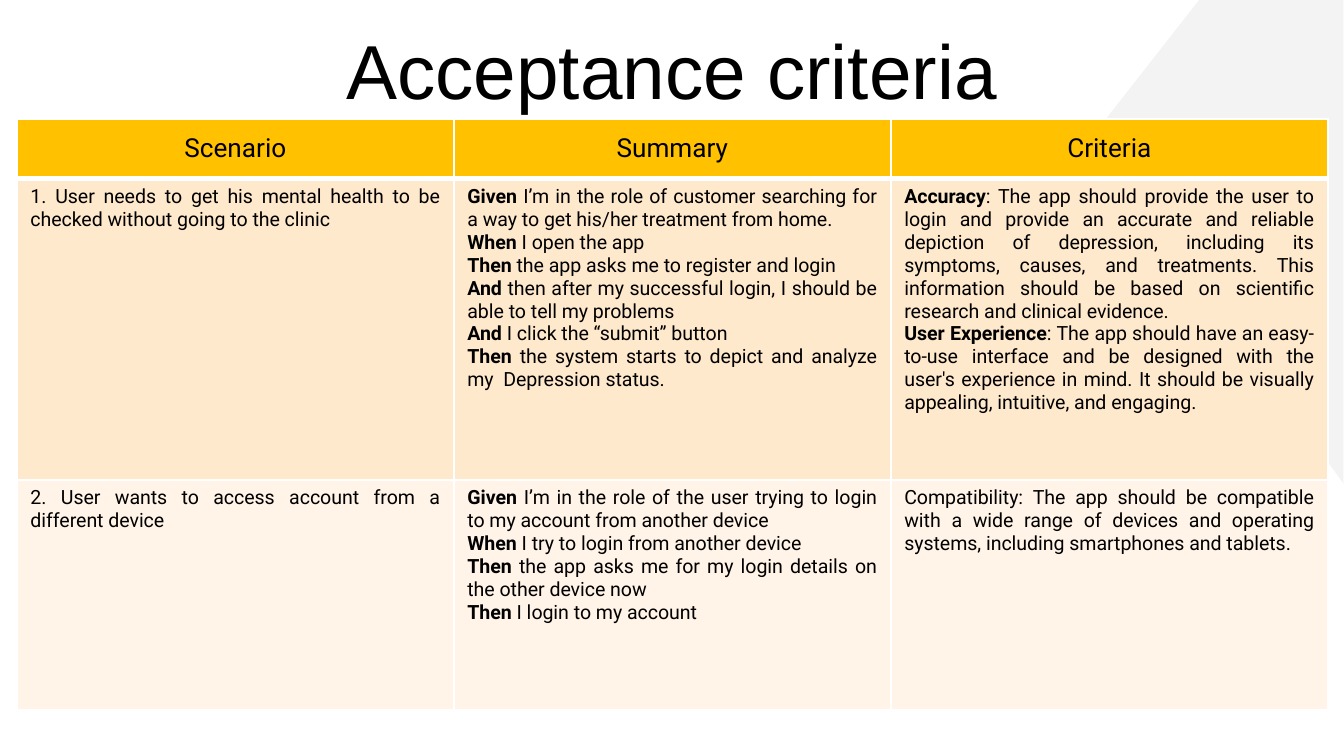
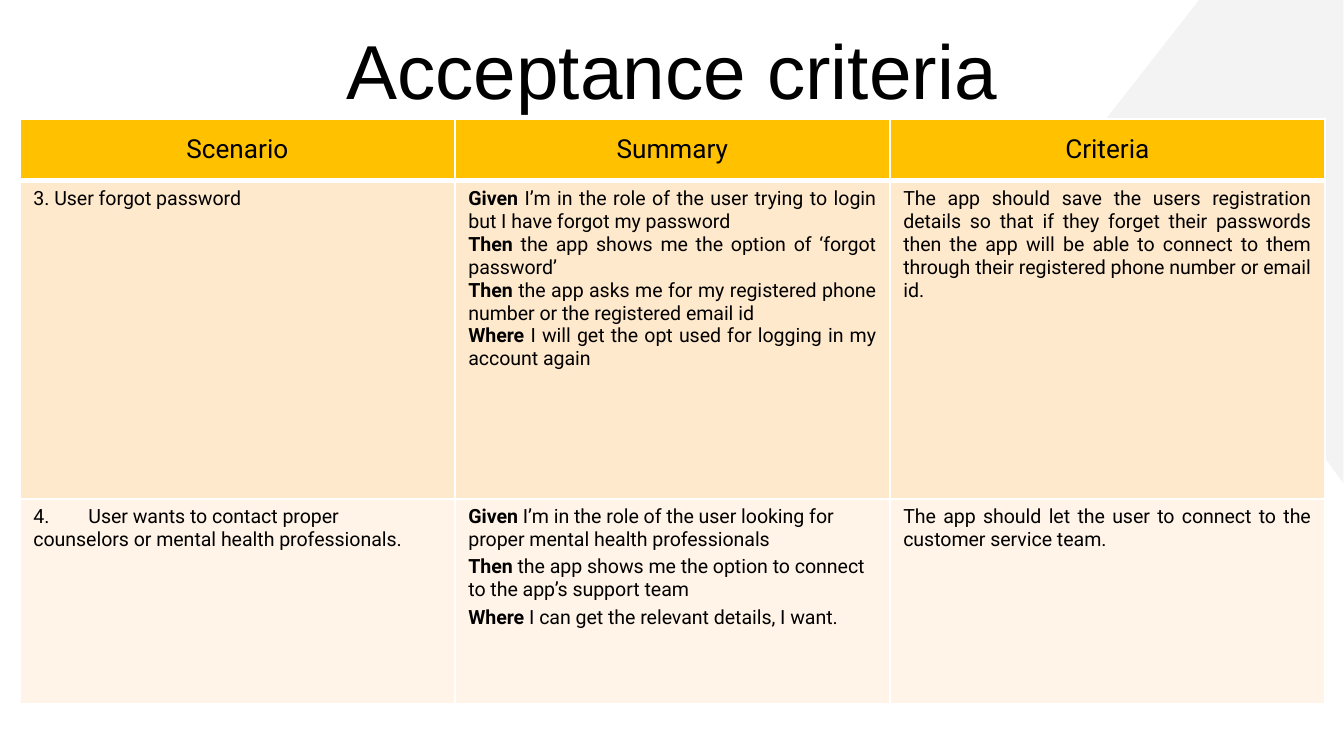
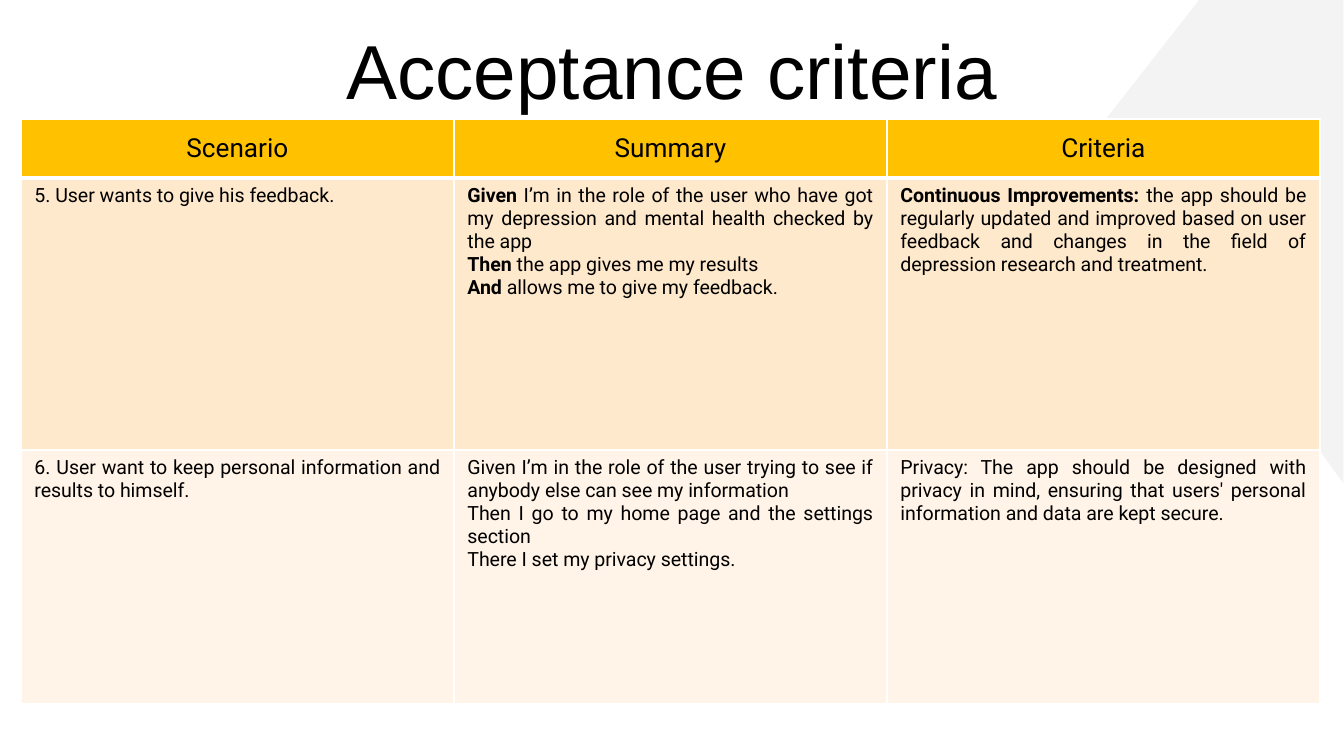
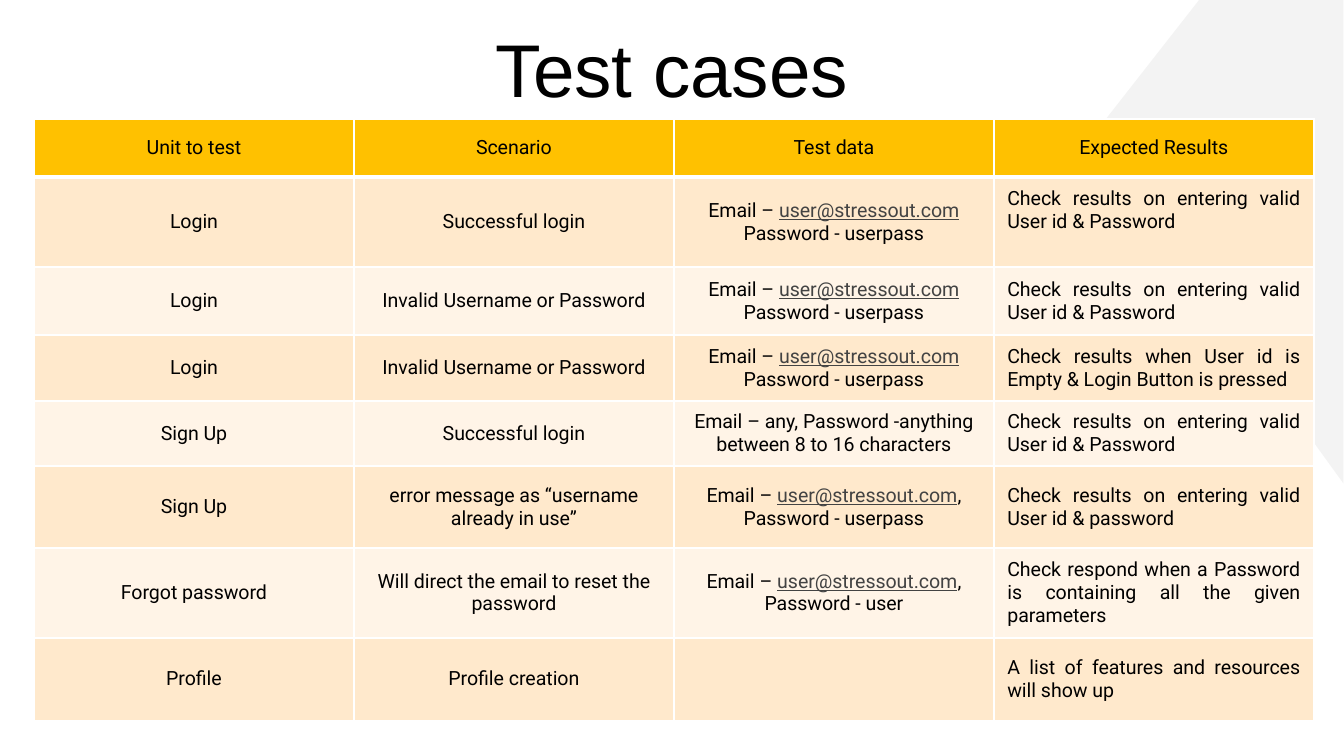
from lxml import etree
from pptx import Presentation
from pptx.dml.color import RGBColor
from pptx.enum import shapes, text
from pptx.oxml.ns import qn
from pptx.util import Emu, Pt

WHITE, BLACK, GREY, LINK = "FFFFFF", "000000", "F3F3F3", "434343"
GOLD, BANDS = "FFC100", ("FFE9CC", "FFF4E7")
LEFT, MID, JUST = text.PP_ALIGN.LEFT, text.PP_ALIGN.CENTER, text.PP_ALIGN.JUSTIFY
TOP, MIDDLE = text.MSO_ANCHOR.TOP, text.MSO_ANCHOR.MIDDLE
BODY = 10.5
MAIL = "user@stressout.com"

CRITERIA = [
    {
        "left": 17, "width": 437, "rows": (60, 301, 230),
        "cells": [
            (
                "1. User needs to get his mental health to be checked without going to the clinic",
                "Given |I’m in the role of customer searching for a way to get his/her treatment from home.\n"
                "When |I open the app\n"
                "Then |the app asks me to register and login\n"
                "And |then after my successful login, I should be able to tell my problems\n"
                "And |I click the “submit” button\n"
                "Then |the system starts to depict and analyze my  Depression status.",
                "Accuracy|: The app should provide the user to login and provide an accurate and "
                "reliable depiction of depression, including its symptoms, causes, and treatments. "
                "This information should be based on scientific research and clinical evidence.\n"
                "User Experience|: The app should have an easy-to-use interface and be designed with "
                "the user's experience in mind. It should be visually appealing, intuitive, and engaging.",
            ),
            (
                "2. User wants to access account from a different device",
                "Given |I’m in the role of the user trying to login to my account from another device\n"
                "When |I try to login from another device\n"
                "Then |the app asks me for my login details on the other device now\n"
                "Then |I login to my account",
                "Compatibility: The app should be compatible with a wide range of devices and "
                "operating systems, including smartphones and tablets.",
            ),
        ],
    },
    {
        "left": 20, "width": 435, "rows": (62, 318, 205),
        "cells": [
            (
                "3. User forgot password",
                "Given |I’m in the role of the user trying to login but I have forgot my password\n"
                "Then |the app shows me the option of ‘forgot password’\n"
                "Then |the app asks me for my registered phone number or the registered email id\n"
                "Where |I will get the opt used for logging in my account again",
                "The app should save the users registration details so that if they forget their "
                "passwords then the app will be able to connect to them through their registered "
                "phone number or email id.",
            ),
            (
                "4.\tUser wants to contact proper counselors or mental health professionals.",
                "Given |I’m in the role of the user looking for proper mental health professionals\n"
                "Then |the app shows me the option to connect to the app’s support team\n"
                "Where |I can get the relevant details, I want.",
                "The app should let the user to connect to the customer service team.",
            ),
        ],
    },
    {
        "left": 21, "width": 433, "rows": (59, 272, 254),
        "cells": [
            (
                "5. User wants to give his feedback.",
                "Given |I’m in the role of the user who have got my depression and mental health "
                "checked by the app\n"
                "Then |the app gives me my results\n"
                "And| allows me to give my feedback.",
                "Continuous Improvements: |the app should be regularly updated and improved based on "
                "user feedback and changes in the field of depression research and treatment.",
            ),
            (
                "6. User want to keep personal information and results to himself.",
                "Given I’m in the role of the user trying to see if anybody else can see my information\n"
                "Then I go to my home page and the settings section\n"
                "There I set my privacy settings.",
                "Privacy: The app should be designed with privacy in mind, ensuring that users' "
                "personal information and data are kept secure.",
            ),
        ],
    },
]

VALID = "Check results on entering valid User id & Password"
LOGIN = f"Email – {MAIL} Password - userpass"
TESTS = [
    ("Login", "Successful login", LOGIN, VALID),
    ("Login", "Invalid Username or Password", LOGIN, VALID),
    ("Login", "Invalid Username or Password", LOGIN,
     "Check results when User id is Empty & Login Button is pressed"),
    ("Sign Up", "Successful login",
     "Email – any, Password -anything between 8 to 16 characters", VALID),
    ("Sign Up", "error message as “username already in use”",
     f"Email – {MAIL}, Password - userpass",
     "Check results on entering valid User id & password"),
    ("Forgot password", "Will direct the email to reset the password",
     f"Email – {MAIL}, Password - user",
     "Check respond when a Password is containing all the given parameters"),
    ("Profile", "Profile creation", "", "A list of features and resources will show up"),
]


def px(n):
    """Turn pixels into EMU."""
    return Emu(round(n * 914400 / 134.4))


def rgb(code):
    """Turn a hex string into a colour."""
    return RGBColor.from_string(code)


def style(para, size, face="Roboto"):
    """Set the font of a paragraph."""
    font = para.font
    font.name, font.size, font.color.rgb = face, Pt(size), rgb(BLACK)


def backdrop(slide, x, y, w, h):
    """Draw the pale triangle at the right edge."""
    tri = slide.shapes.add_shape(
        shapes.MSO_SHAPE.ISOSCELES_TRIANGLE, px(x), px(y), px(w), px(h))
    tri.adjustments[0] = 0.52
    tri.rotation = 270
    tri.shadow.inherit = False
    tri.fill.solid()
    tri.fill.fore_color.rgb = rgb(GREY)
    tri.line.fill.background()


def title(slide, words, size, x, y, w, h):
    """Write the centred slide title."""
    frame = slide.shapes.add_textbox(px(x), px(y), px(w), px(h)).text_frame
    frame.word_wrap = True
    frame.vertical_anchor = TOP
    frame.margin_top = frame.margin_bottom = 0
    para = frame.paragraphs[0]
    para.text, para.alignment = words, MID
    style(para, size, "Arial")


def page(deck, words, size):
    """Add a slide with its backdrop and title."""
    slide = deck.slides.add_slide(deck.slide_layouts[6])
    backdrop(slide, 884, 24, 668, 251)
    title(slide, words, size, 77, 23, 1190, 95)
    return slide


def border(cell, low):
    """Give a cell white borders, with its own width below."""
    props = cell._tc.get_or_add_tcPr()
    for i, (side, wide) in enumerate(zip("LRTB", (1, 1, 1, low))):
        line = etree.Element(qn(f"a:ln{side}"), w=str(Pt(wide)))
        fill = etree.SubElement(line, qn("a:solidFill"))
        etree.SubElement(fill, qn("a:srgbClr"), val=WHITE)
        props.insert(i, line)


def runs(para, words):
    """Add runs: bold before a bar, underlined for the address."""
    head, bar, tail = words.partition("|")
    if bar:
        para.add_run().text = head
        para.runs[0].font.bold = True
        words = tail
    for part in words.partition(MAIL):
        if part:
            run = para.add_run()
            run.text = part
            if part == MAIL:
                run.font.underline = True
                run.font.color.rgb = rgb(LINK)


def fill(cell, words, size, align, anchor, back, low=1):
    """Fill one table cell."""
    cell.fill.solid()
    cell.fill.fore_color.rgb = rgb(back)
    border(cell, low)
    cell.vertical_anchor = anchor
    frame = cell.text_frame
    for i, row in enumerate(words.split("\n")):
        para = frame.add_paragraph() if i else frame.paragraphs[0]
        runs(para, row)
        para.alignment = align
        style(para, size)


def grid(slide, x, y, width, rows, heads, cells, size, aligns, anchor):
    """Draw a table with a gold header and banded rows."""
    table = slide.shapes.add_table(
        len(rows), len(heads), px(x), px(y), px(width * len(heads)), px(sum(rows))).table
    table.first_row = table.horz_banding = False
    for col in table.columns:
        col.width = px(width)
    for row, high in zip(table.rows, rows):
        row.height = px(high)
    for c, head in enumerate(heads):
        fill(table.cell(0, c), head, size, MID, MIDDLE, GOLD, 3)
    for r, row in enumerate(cells):
        for c, words in enumerate(row):
            fill(table.cell(r + 1, c), words, BODY, aligns[c], anchor, BANDS[r % 2])
    return table


def criteria(deck, left, width, rows, cells):
    """Build a slide of acceptance criteria."""
    slide = page(deck, "Acceptance criteria", 41)
    heads = ("Scenario", "Summary", "Criteria")
    return grid(slide, left, 119, width, rows, heads, cells, 14, (JUST,) * 3, TOP)


def loosen(table):
    """Set the looser, left-aligned last row with its tabbed number."""
    first, second = table.cell(2, 0), table.cell(2, 1)
    first.margin_right = px(40)
    props = first.text_frame.paragraphs[0]._p.get_or_add_pPr()
    tabs = etree.Element(qn("a:tabLst"))
    etree.SubElement(tabs, qn("a:tab"), pos=str(px(55)), algn="l")
    props.insert(0, tabs)
    for cell in (first, second):
        for i, para in enumerate(cell.text_frame.paragraphs):
            para.alignment = LEFT
            if i:
                para.space_before = Pt(2.4)


def tests(deck):
    """Build the slide of test cases."""
    slide = page(deck, "Test cases", 40)
    heads = ("Unit to test", "Scenario", "Test data", "Expected Results")
    rows = (58, 90, 68, 66, 65, 82, 90, 83)
    table = grid(slide, 34, 119, 320, rows, heads, TESTS, BODY, (MID, MID, MID, JUST), MIDDLE)
    table.cell(1, 3).margin_bottom = px(30)


def main():
    """Build and save the deck."""
    deck = Presentation()
    deck.slide_width, deck.slide_height = px(1344), px(756)
    tables = [criteria(deck, **part) for part in CRITERIA]
    loosen(tables[1])
    tests(deck)
    deck.save("out.pptx")


if __name__ == "__main__":
    main()
